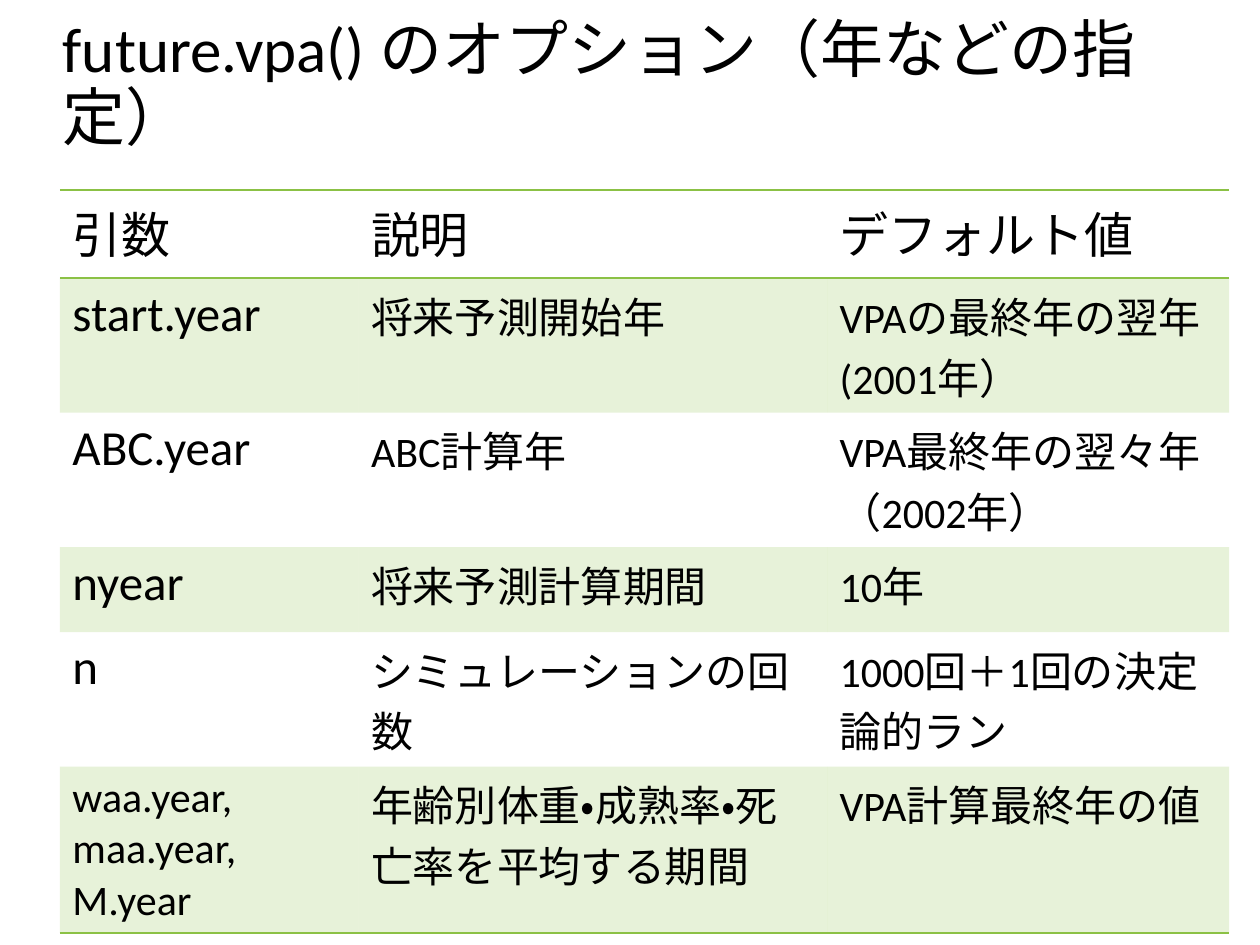
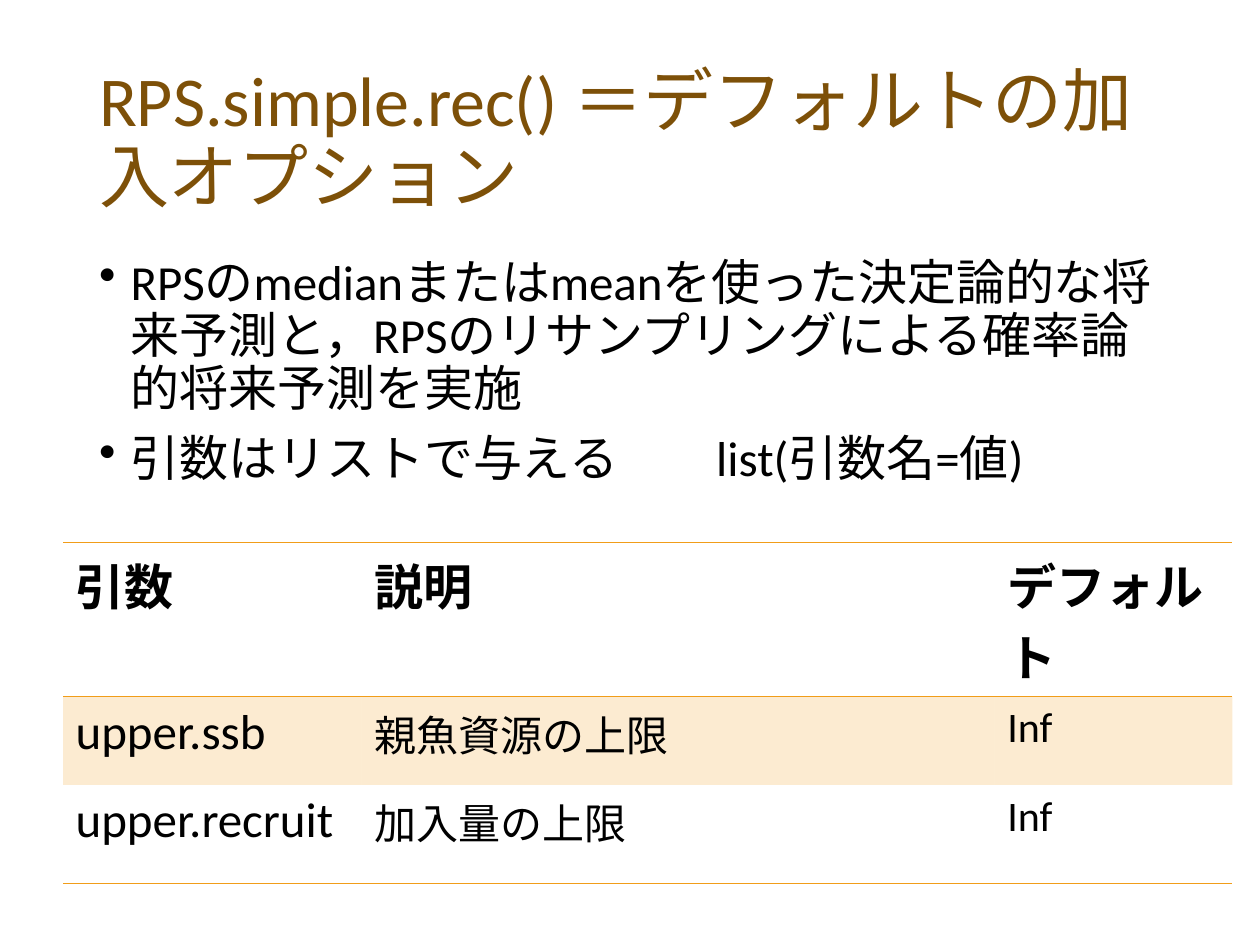
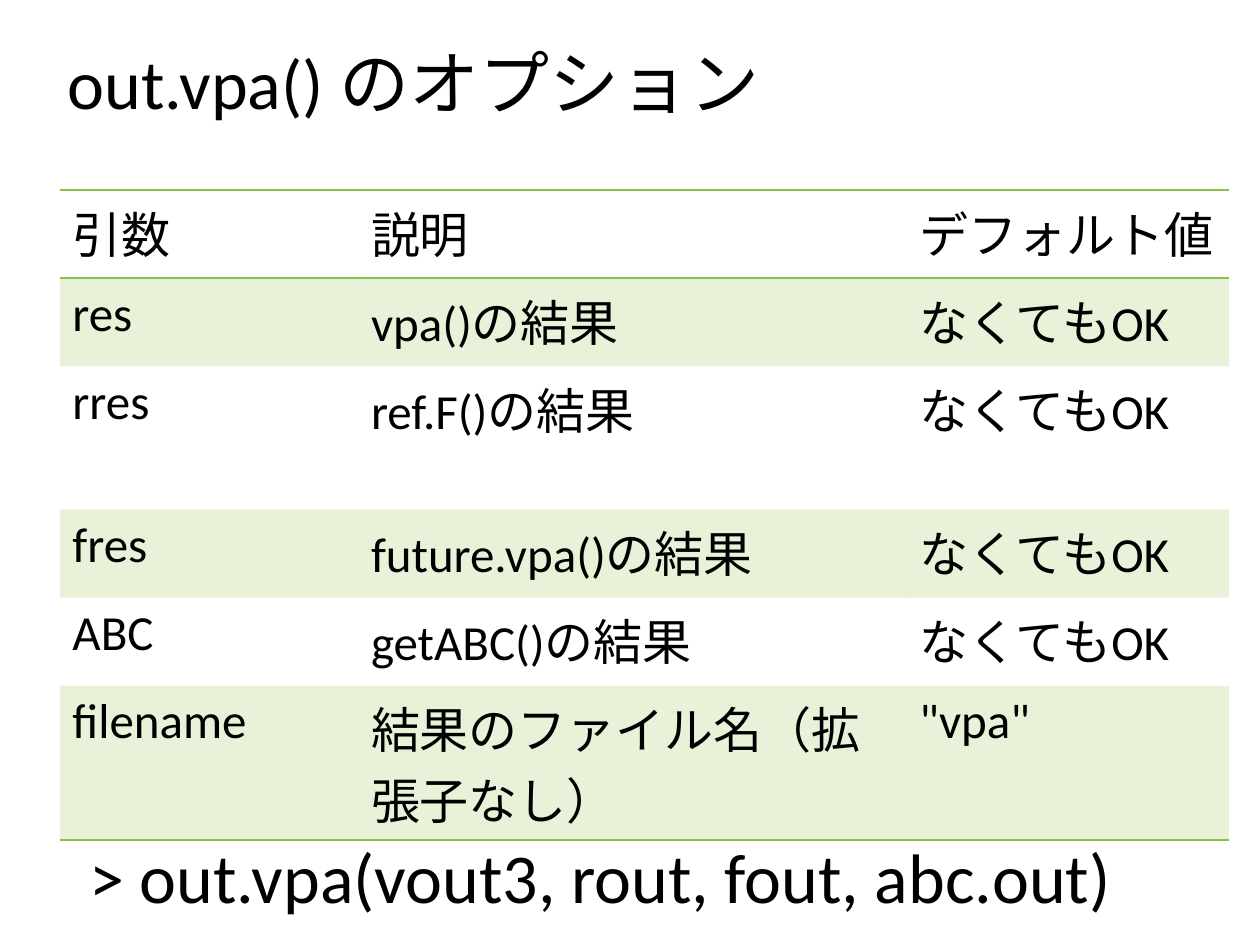
from lxml import etree
from pptx import Presentation
from pptx.dml.color import RGBColor
from pptx.enum.lang import MSO_LANGUAGE_ID
from pptx.enum.text import MSO_ANCHOR, MSO_AUTO_SIZE
from pptx.oxml.ns import qn
from pptx.util import Pt

JAPANESE = MSO_LANGUAGE_ID.JAPANESE
MIDDLE, TOP = MSO_ANCHOR.MIDDLE, MSO_ANCHOR.TOP
NO_FIT = MSO_AUTO_SIZE.NONE

COLORS = {"text": "000000", "brown": "7D5008", "green": "8BC145", "orange": "F19D19"}
FONT = "Calibri"
PLAIN_TABLE = "{2D5ABB26-0587-4C30-8999-92F81FD0307C}"
BAND_ALPHA = "20000"


def style(para, size, color="text", bold=False):
    font = para.font
    font.name, font.size, font.bold = FONT, Pt(size), bold
    font.language_id = JAPANESE
    font.color.rgb = RGBColor.from_string(COLORS[color])


def add_text(slide, box, lines, size, color="text", anchor=TOP, spacing=None):
    frame = slide.shapes.add_textbox(*map(Pt, box)).text_frame
    frame.word_wrap = True
    frame.auto_size = NO_FIT
    frame.vertical_anchor = anchor
    frame.text = "\n".join(lines)
    for para in frame.paragraphs:
        style(para, size, color)
        para.line_spacing = spacing
    return frame


def add_title(slide, box, text, size, color="text"):
    add_text(slide, box, [text], size, color, MIDDLE, 0.9)


def add_bullets(slide, box, lines, size):
    frame = add_text(slide, box, lines, size, spacing=0.9)
    for para in frame.paragraphs:
        para.space_before = Pt(10)
        props = para._p.get_or_add_pPr()
        props.set("marL", str(Pt(18)))
        props.set("indent", str(-Pt(18)))
        bullet = etree.Element(qn("a:buChar"), char="•")
        props.insert_element_before(bullet, "a:tabLst", "a:defRPr", "a:extLst")


def fill_band(cell, color):
    cell.fill.solid()
    cell.fill.fore_color.rgb = RGBColor.from_string(COLORS[color])
    tint = cell._tc.tcPr.find(".//" + qn("a:srgbClr"))
    etree.SubElement(tint, qn("a:alpha"), val=BAND_ALPHA)


def add_rules(cell, sides, color):
    """Draw lines on the named sides, T before B."""
    props = cell._tc.get_or_add_tcPr()
    for place, side in enumerate(sides):
        line = etree.Element(qn("a:ln" + side), w=str(Pt(1)))
        fill = etree.SubElement(line, qn("a:solidFill"))
        etree.SubElement(fill, qn("a:srgbClr"), val=COLORS[color])
        props.insert(place, line)


def add_options(slide, box, rows, widths, heights, sizes, color, bold=False):
    """Add an option table with a ruled header and tinted odd rows."""
    left, top, width = box
    frame = slide.shapes.add_table(len(rows), len(widths), Pt(left), Pt(top),
                                   Pt(width), Pt(sum(heights)))
    table = frame.table
    table.first_row = table.horz_banding = False
    table._tbl.tblPr.find(qn("a:tableStyleId")).text = PLAIN_TABLE
    for column, size in zip(table.columns, widths):
        column.width = Pt(size)
    for row, size in zip(table.rows, heights):
        row.height = Pt(size)
    last = len(rows) - 1
    for r, texts in enumerate(rows):
        sides = {0: "TB", last: "B"}.get(r, "")
        for c, text in enumerate(texts):
            cell = table.cell(r, c)
            cell.text = text
            style(cell.text_frame.paragraphs[0], sizes[r][c], bold=bold and r == 0)
            if r % 2:
                fill_band(cell, color)
            else:
                cell.fill.background()
            add_rules(cell, sides, color)


def future_slide(slide):
    add_title(slide, (28.8, 15, 679.7, 69), "future.vpa() のオプション（年などの指定）", 36)
    rows = [
        ("引数", "説明", "デフォルト値"),
        ("start.year", "将来予測開始年", "VPAの最終年の翌年 (2001年）"),
        ("ABC.year", "ABC計算年", "VPA最終年の翌々年（2002年）"),
        ("nyear", "将来予測計算期間", "10年"),
        ("n", "シミュレーションの回数", "1000回＋1回の決定論的ラン"),
        ("waa.year, maa.year, M.year", "年齢別体重・成熟率・死亡率を平均する期間",
         "VPA計算最終年の値"),
    ]
    sizes = [(28, 28, 28)] + [(28, 24, 24)] * 4 + [(24, 24, 24)]
    add_options(slide, (34.2, 108.6, 668.2), rows, (170.6, 267.8, 229.8),
                (50.4, 76.8, 76.8, 48.5, 76.8, 95), sizes, "green")


def recruit_slide(slide):
    add_title(slide, (49.5, 28.8, 620.6, 104.4),
              "RPS.simple.rec() ＝デフォルトの加入オプション", 40, "brown")
    add_bullets(slide, (49.5, 143.8, 620.6, 342.6), [
        "RPSのmedianまたはmeanを使った決定論的な将来予測と，RPSのリサンプリングによる確率論的将来予測を実施",
        "引数はリストで与える　　list(引数名=値)",
    ], 28)
    rows = [
        ("引数", "説明", "デフォルト"),
        ("upper.ssb", "親魚資源の上限", "Inf"),
        ("upper.recruit", "加入量の上限", "Inf"),
    ]
    sizes = [(28, 28, 28)] + [(28, 24, 24)] * 2
    add_options(slide, (36, 310, 668.2), rows, (170.6, 361.8, 135.8),
                (88, 50.4, 56.4), sizes, "orange", bold=True)


def output_slide(slide):
    add_title(slide, (31.5, 15, 700.5, 69), "out.vpa() のオプション", 40)
    calls = [("res", "vpa()"), ("rres", "ref.F()"), ("fres", "future.vpa()"),
             ("ABC", "getABC()")]
    rows = [
        ("引数", "説明", "デフォルト値"),
        *((name, call + "の結果", "なくてもOK") for name, call in calls),
        ("filename", "結果のファイル名（拡張子なし）", '"vpa"'),
    ]
    add_options(slide, (34.2, 108.6, 668.2), rows, (170.6, 313.4, 184.2),
                (50.4, 50.4, 81.7, 50.4, 50.4, 87.6), [(28, 28, 28)] * 6, "green")
    add_text(slide, (44, 472.5, 664.5, 55.7), ["> out.vpa(vout3, rout, fout, abc.out)"], 40)


def main():
    deck = Presentation()
    deck.slide_width, deck.slide_height = Pt(720), Pt(540)
    blank = deck.slide_layouts[6]
    for build in (future_slide, recruit_slide, output_slide):
        build(deck.slides.add_slide(blank))
    deck.save("out.pptx")


if __name__ == "__main__":
    main()
